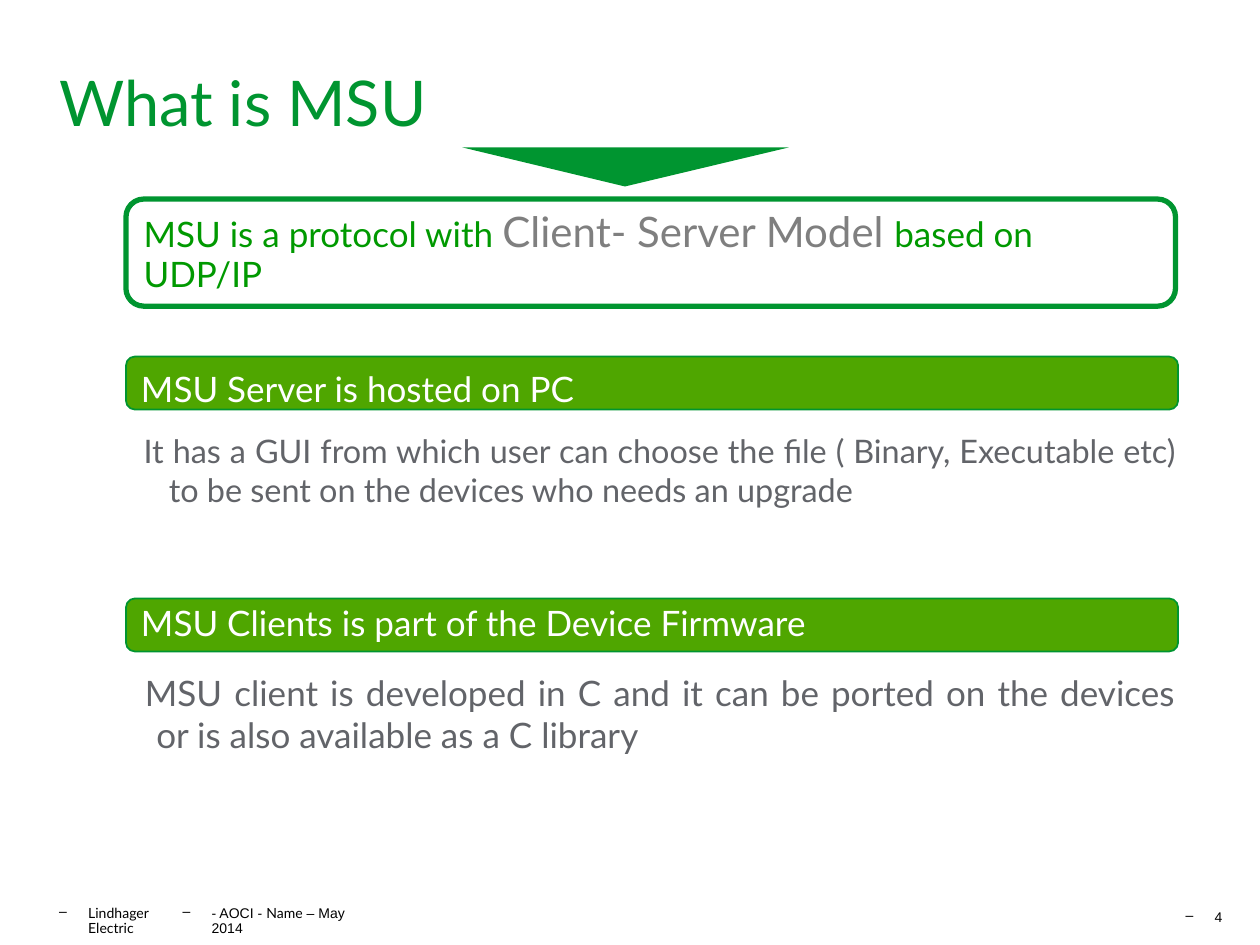
"""Build the "What is MSU" slide."""
import dataclasses

import lxml.etree
import pptx
import pptx.dml.color
import pptx.enum.shapes
import pptx.enum.text
import pptx.oxml.ns
import pptx.util

Inches = pptx.util.Inches
Shapes = pptx.enum.shapes.MSO_SHAPE
Align = pptx.enum.text.PP_ALIGN
Anchor = pptx.enum.text.MSO_ANCHOR


@dataclasses.dataclass(frozen=True)
class Theme:
    """Colours, fonts and type sizes of the slide."""
    green: str = "009530"
    bar: str = "4FA600"
    statement: str = "009900"
    emphasis: str = "7F7F7F"
    body: str = "626469"
    white: str = "FFFFFF"
    black: str = "000000"
    font: str = "Lato"
    footer_font: str = "Arial"
    title_size: float = 36
    emphasis_size: float = 24
    text_size: float = 20
    detail_size: float = 18.5
    footer_size: float = 8
    line_spacing: float = 0.93


THEME = Theme()


def rgb(value):
    """Return a colour object for a hex value."""
    return pptx.dml.color.RGBColor.from_string(value)


def style_font(font, size, color, name=THEME.font):
    """Set size, colour and typeface of a font."""
    font.size = pptx.util.Pt(size)
    font.color.rgb = rgb(color)
    font.name = name


def set_frame(frame, margins, anchor):
    """Wrap a text frame and set its margins (left, top, right, bottom) and anchor."""
    frame.word_wrap = True
    frame.auto_size = pptx.enum.text.MSO_AUTO_SIZE.NONE
    frame.vertical_anchor = anchor
    (frame.margin_left, frame.margin_top,
     frame.margin_right, frame.margin_bottom) = map(Inches, margins)


def set_hanging(paragraph, left, hanging):
    """Indent a paragraph with a hanging first line."""
    properties = paragraph._p.get_or_add_pPr()
    properties.set("marL", str(Inches(left)))
    properties.set("indent", str(-Inches(hanging)))
    return properties


def set_title(slide, text):
    """Place and format the title placeholder."""
    title = slide.shapes.title
    title.left, title.top = Inches(0.47), Inches(0.17)
    title.width, title.height = Inches(9.05), Inches(1.26)
    set_frame(title.text_frame, (0, 0.01, 0, 0.01), Anchor.MIDDLE)
    title.text_frame.text = text
    paragraph = title.text_frame.paragraphs[0]
    paragraph.alignment = Align.LEFT
    style_font(paragraph.font, THEME.title_size, THEME.green)


def add_text(slide, left, top, width, height):
    """Add a text box without margins and return its paragraph."""
    box = slide.shapes.add_textbox(*map(Inches, (left, top, width, height)))
    set_frame(box.text_frame, (0, 0, 0, 0), Anchor.TOP)
    return box.text_frame.paragraphs[0]


def add_detail(slide, text, top, height, size, left, hanging):
    """Add a justified explanation under a heading bar."""
    paragraph = add_text(slide, 0.75, top, 8.58, height)
    set_hanging(paragraph, left, hanging)
    paragraph.alignment = Align.JUSTIFY
    paragraph.text = text
    style_font(paragraph.font, size, THEME.body)


def add_footer(slide, left, top, width, parts):
    """Add a dashed footer item made of (text, typeface) parts."""
    paragraph = add_text(slide, left, top, width, 0.12)
    properties = set_hanging(paragraph, 0.23, 0.23)
    color = lxml.etree.SubElement(properties, pptx.oxml.ns.qn("a:buClr"))
    lxml.etree.SubElement(color, pptx.oxml.ns.qn("a:srgbClr"), val=THEME.black)
    lxml.etree.SubElement(properties, pptx.oxml.ns.qn("a:buChar"), char="–")
    paragraph.line_spacing = THEME.line_spacing
    for text, name in parts:
        run = paragraph.add_run()
        run.text = text
        style_font(run.font, THEME.footer_size, THEME.black, name)


def add_box(slide, kind, top, width, height, line_width, top_margin=0.05):
    """Add an outlined rounded box and return it with its paragraph."""
    box = slide.shapes.add_shape(kind, *map(Inches, (1, top, width, height)))
    box.shadow.inherit = False
    box.line.color.rgb = rgb(THEME.green)
    box.line.width = pptx.util.Pt(line_width)
    set_frame(box.text_frame, (0.1, top_margin, 0.1, 0.05), Anchor.MIDDLE)
    paragraph = box.text_frame.paragraphs[0]
    paragraph.alignment = Align.LEFT
    paragraph.line_spacing = THEME.line_spacing
    return box, paragraph


def add_bar(slide, text, top, top_margin=0.05):
    """Add a filled heading bar."""
    bar, paragraph = add_box(slide, Shapes.FLOWCHART_ALTERNATE_PROCESS,
                             top, 8.35, 0.42, 1, top_margin)
    bar.fill.solid()
    bar.fill.fore_color.rgb = rgb(THEME.bar)
    paragraph.text = text
    style_font(paragraph.font, THEME.text_size, THEME.white)


def add_statement(slide, parts):
    """Add the outlined statement from (text, size, colour) parts."""
    box, paragraph = add_box(slide, Shapes.ROUNDED_RECTANGLE, 1.58, 8.33, 0.85, 3)
    box.fill.background()
    for text, size, color in parts:
        run = paragraph.add_run()
        run.text = text
        style_font(run.font, size, color)


def add_pointer(slide):
    """Add the wide triangle pointing down at the statement."""
    start, *others = [(Inches(x), Inches(y))
                      for x, y in ((3.67, 1.17), (6.26, 1.17), (4.96, 1.48))]
    builder = slide.shapes.build_freeform(*start)
    builder.add_line_segments(others, close=True)
    pointer = builder.convert_to_shape()
    pointer.shadow.inherit = False
    pointer.fill.solid()
    pointer.fill.fore_color.rgb = rgb(THEME.green)
    pointer.line.fill.background()


def main():
    """Build and save the presentation."""
    presentation = pptx.Presentation()
    presentation.slide_width, presentation.slide_height = Inches(10), Inches(7.5)
    slide = presentation.slides.add_slide(presentation.slide_layouts[5])
    set_title(slide, "What is MSU")
    add_pointer(slide)
    add_statement(slide, [
        ("MSU is a protocol with ", THEME.text_size, THEME.statement),
        ("Client- Server Model ", THEME.emphasis_size, THEME.emphasis),
        ("based on UDP/IP", THEME.text_size, THEME.statement),
    ])
    add_bar(slide, "MSU Server is hosted on PC", 2.83, top_margin=0.17)
    add_detail(slide, "It has a GUI from which user can choose the file ( Binary, "
               "Executable etc) to be sent on the devices who needs an upgrade",
               3.42, 0.75, THEME.detail_size, 0.59, 0.2)
    add_bar(slide, "MSU Clients is part of the Device Firmware", 4.75)
    add_detail(slide, "MSU client is developed in C and it can be ported on the "
               "devices or is also available as a C library",
               5.33, 0.83, THEME.text_size, 0.49, 0.09)
    add_footer(slide, 0.47, 7.19, 0.99, [("Lindhager Electric", THEME.font)])
    add_footer(slide, 1.45, 7.19, 1.43, [("- AOCI - ", THEME.footer_font),
                                         ("Name", THEME.font),
                                         (" – May 2014", THEME.footer_font)])
    add_footer(slide, 9.41, 7.22, 0.32, [("4", THEME.footer_font)])
    presentation.save("out.pptx")


if __name__ == "__main__":
    main()
